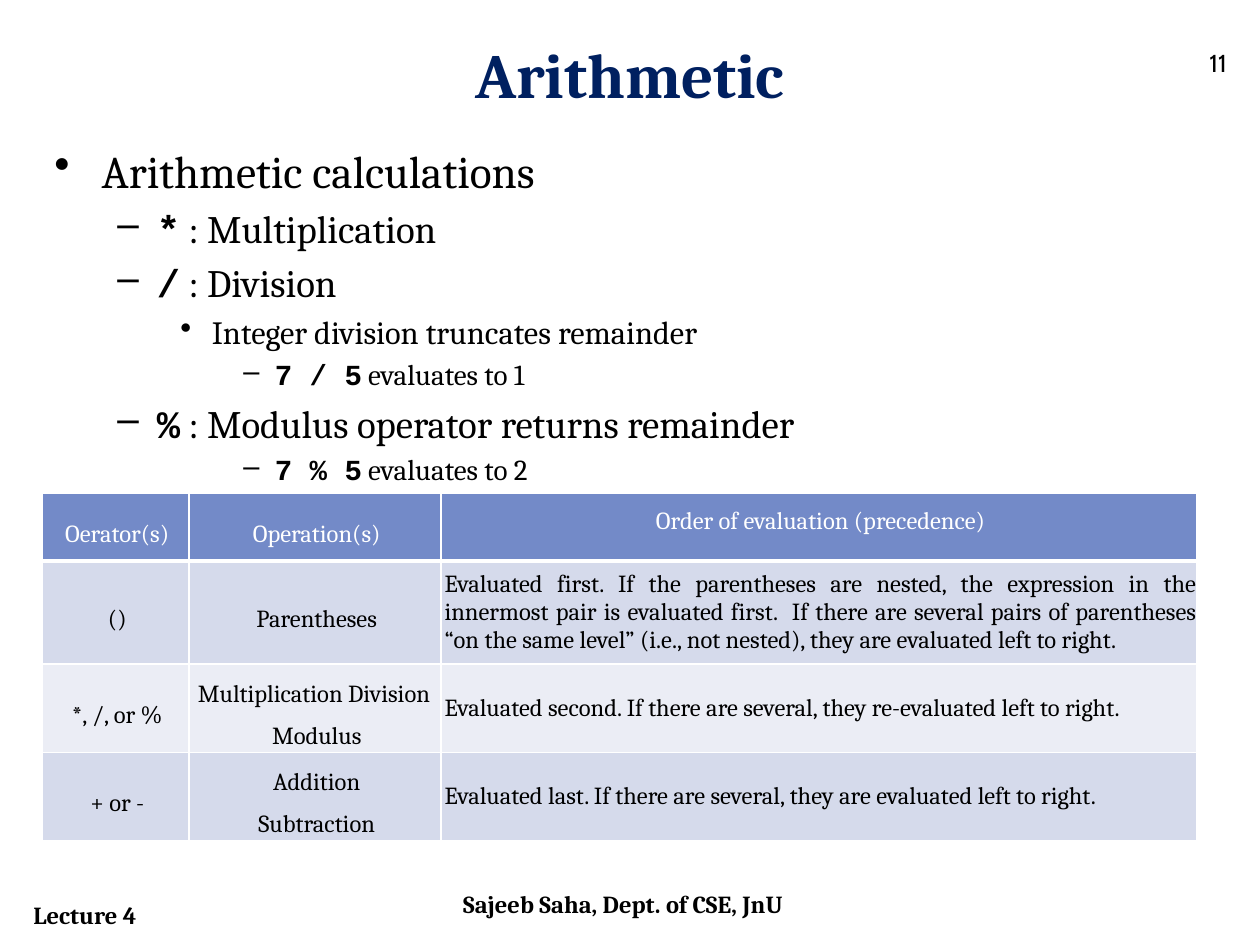
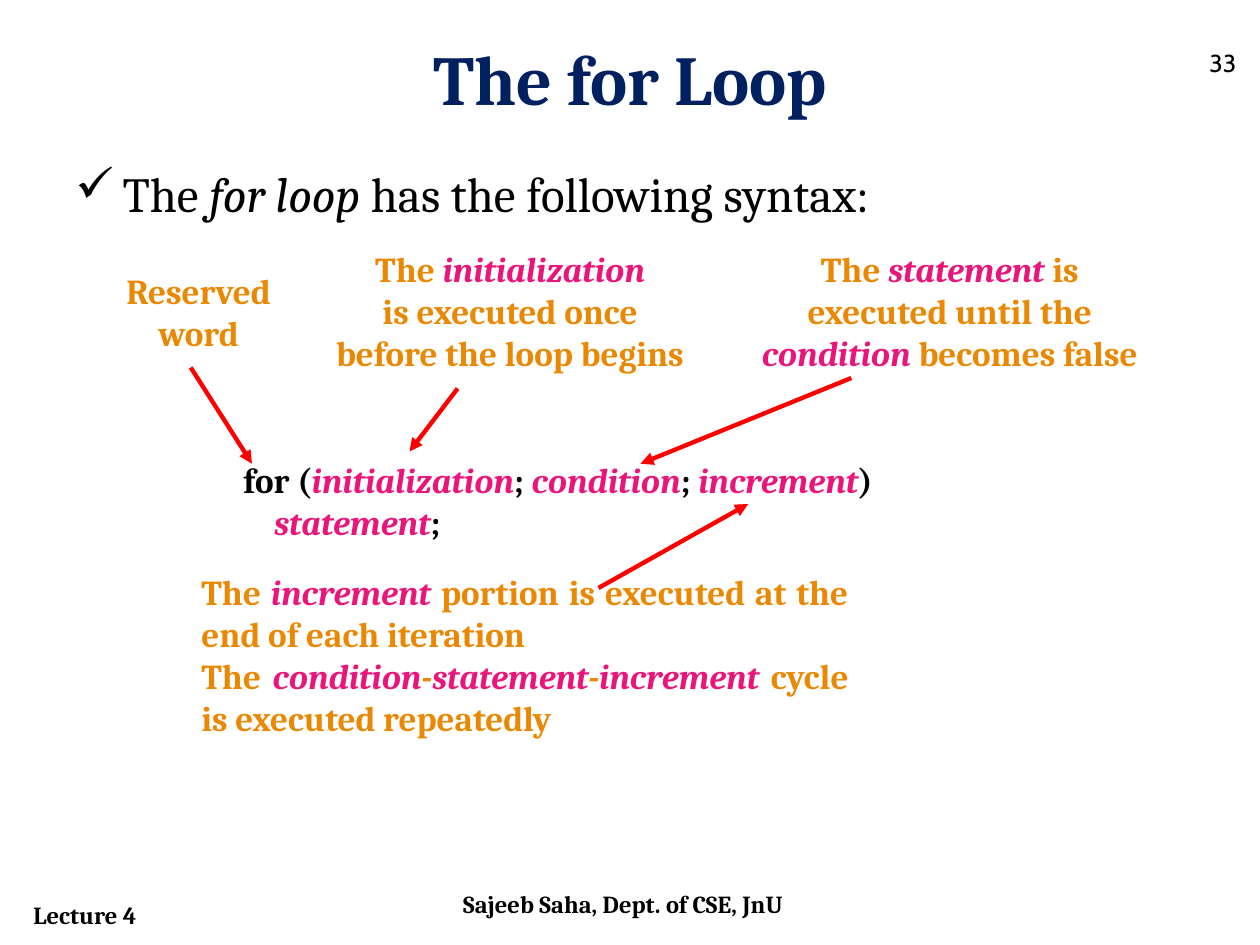
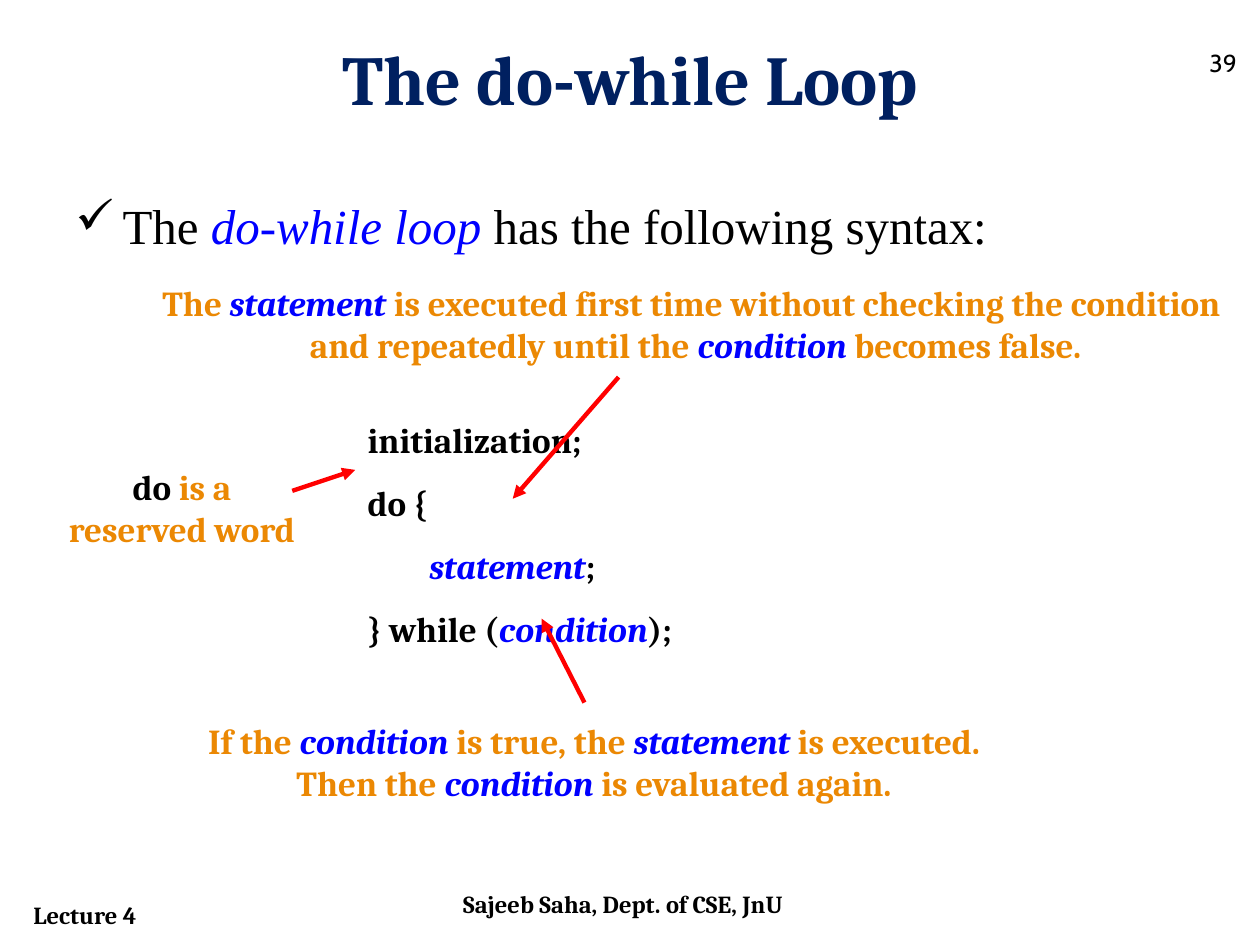
from dataclasses import dataclass, field
from typing import Any, NamedTuple

from lxml.etree import SubElement
from pptx import Presentation
from pptx.dml.color import RGBColor
from pptx.enum.shapes import MSO_CONNECTOR as Connector
from pptx.enum.text import MSO_ANCHOR as Anchor, MSO_AUTO_SIZE as AutoSize, PP_ALIGN as Align
from pptx.oxml.ns import qn
from pptx.util import Pt

COLORS = {
    "black": "000000", "white": "FFFFFF", "navy": "002060", "orange": "EB8803",
    "pink": "EA157A", "blue": "0000FF", "red": "FF0000",
    "head": "738AC8", "odd": "D5DAEB", "even": "EBEDF5",
}

STYLES: dict[str, dict[str, Any]] = {
    "plain": {},
    "mono": {"name": "Courier New", "bold": True},
    "italic": {"italic": True},
    "code": {"color": "black"},
    "pink": {"color": "pink", "italic": True},
    "pink dash": {"color": "orange", "italic": True},
    "blue": {"color": "blue", "italic": True},
}


class Run(NamedTuple):
    text: str
    style: str = "plain"


class Box(NamedTuple):
    left: float
    top: float
    width: float
    height: float


class Arrow(NamedTuple):
    x1: float
    y1: float
    x2: float
    y2: float


class Level(NamedTuple):
    bullet: str
    left: float
    hang: float
    size: float


@dataclass
class Look:
    size: float = 14
    color: str = "black"
    bold: bool = False
    name: str = "Cambria"
    align: Align = Align.LEFT
    spacing: float | None = None


@dataclass
class Note:
    box: Box
    lines: list[list[Run]]
    look: Look
    wrap: bool = False
    arrows: list[Arrow] = field(default_factory=list)


FOOTER = Look(bold=True)
NUMBER = Look(name="Cabin")
CALLOUT = Look(20, "orange", True, align=Align.CENTER)
CYCLE = Look(20, "orange", True, align=Align.JUSTIFY)
CODE = Look(20, "black", True)
SPACED_CODE = Look(20, "black", True, spacing=1.5)

LEVELS = [
    Level("•", 27, 27, 25.9),
    Level("–", 58.5, 22.5, 22.2),
    Level("•", 90, 18, 18.5),
    Level("–", 126, 18, 16.6),
]
CHECK = Level("✓", 27, 27, 28)

ARITHMETIC = [
    (0, [Run("Arithmetic calculations")]),
    (1, [Run("*", "mono"), Run(" : Multiplication")]),
    (1, [Run("/", "mono"), Run(" : Division")]),
    (2, [Run("Integer division truncates remainder")]),
    (3, [Run("7 / 5", "mono"), Run(" evaluates to 1")]),
    (1, [Run("%", "mono"), Run(" : Modulus operator returns remainder")]),
    (3, [Run("7 % 5", "mono"), Run(" evaluates to 2")]),
]

PRECEDENCE = [
    ["Oerator(s)", "Operation(s)", "Order of evaluation (precedence)"],
    ["()", "Parentheses",
     "Evaluated first. If the parentheses are nested, the expression in the innermost pair is "
     "evaluated first.  If there are several pairs of parentheses “on the same level” "
     "(i.e., not nested), they are evaluated left to right."],
    ["*, /, or %", "Multiplication Division \nModulus",
     "Evaluated second. If there are several, they re-evaluated left to right."],
    ["+ or -", "Addition\nSubtraction",
     "Evaluated last. If there are several, they are evaluated left to right."],
]
COLUMN_WIDTHS = [84, 144, 432]
ROW_HEIGHTS = [38.6, 59, 44, 44]

FOR_NOTES = [
    Note(Box(132, 258, 384, 55.5), [
        [Run("for ("), Run("initialization", "pink"), Run("; "), Run("condition", "pink"),
         Run("; "), Run("increment", "pink"), Run(")")],
        [Run("    "), Run("statement", "pink"), Run(";")],
    ], CODE, True),
    Note(Box(63, 150, 101, 55.5), [[Run("Reserved")], [Run("word")]], CALLOUT,
         arrows=[Arrow(109, 210, 144, 265)]),
    Note(Box(181.5, 137.5, 220, 80), [
        [Run("The "), Run("initialization", "pink")],
        [Run("is executed once")],
        [Run("before the loop begins")],
    ], CALLOUT, arrows=[Arrow(261.5, 222, 234, 258)]),
    Note(Box(426, 137.5, 233.5, 80), [
        [Run("The "), Run("statement", "pink"), Run(" is")],
        [Run("executed until the")],
        [Run("condition ", "pink"), Run("becomes false")],
    ], CALLOUT, arrows=[Arrow(486.5, 216, 366, 265)]),
    Note(Box(108, 322.5, 384, 103), [
        [Run("The "), Run("increment", "pink"),
         Run(" portion is executed at the end of each iteration")],
        [Run("The "), Run("condition", "pink"), Run("-", "pink dash"), Run("statement", "pink"),
         Run("-", "pink dash"), Run("increment ", "pink"), Run("cycle is executed repeatedly")],
    ], CYCLE, True, [Arrow(342, 336, 427.5, 288)]),
]

DO_NOTES = [
    Note(Box(203, 223, 190, 152.5), [
        [Run("initialization;")],
        [Run("do {")],
        [Run("        statement", "blue"), Run(";")],
        [Run("} while ("), Run("condition", "blue"), Run(");")],
    ], SPACED_CODE),
    Note(Box(29.5, 262, 149, 55.5), [
        [Run("do ", "code"), Run("is a")],
        [Run("reserved word")],
    ], CALLOUT, arrows=[Arrow(167, 280.5, 203, 268.5)]),
    Note(Box(108, 407.5, 463, 55.5), [
        [Run("If the "), Run("condition", "blue"), Run(" is true, the "),
         Run("statement", "blue"), Run(" is executed.")],
        [Run("Then the "), Run("condition", "blue"), Run(" is evaluated again.")],
    ], CALLOUT, arrows=[Arrow(334, 401.5, 309.5, 353.5)]),
    Note(Box(78, 157, 639, 55.5), [
        [Run("The "), Run("statement", "blue"),
         Run(" is executed first time without checking the condition ")],
        [Run("and repeatedly until the "), Run("condition", "blue"), Run(" becomes false.")],
    ], CALLOUT, arrows=[Arrow(353.5, 215.5, 293, 285)]),
]


def rgb(color: str) -> RGBColor:
    return RGBColor.from_string(COLORS[color])


def fill_paragraph(p: Any, runs: list[Run], look: Look) -> None:
    p.alignment = look.align
    if look.spacing:
        p.line_spacing = look.spacing
    for text, style in runs:
        r = p.add_run()
        r.text = text
        values = {"name": look.name, "size": Pt(look.size), "bold": look.bold,
                  "color": look.color} | STYLES[style]
        r.font.color.rgb = rgb(values.pop("color"))
        for key, value in values.items():
            setattr(r.font, key, value)


def fill_lines(tf: Any, lines: list[list[Run]], look: Look) -> None:
    for i, runs in enumerate(lines):
        fill_paragraph(tf.add_paragraph() if i else tf.paragraphs[0], runs, look)


def add_frame(s: Any, box: Box, wrap: bool = True) -> Any:
    tf = s.shapes.add_textbox(*map(Pt, box)).text_frame
    tf.word_wrap = wrap
    return tf


def add_text(s: Any, box: Box, text: str, look: Look) -> None:
    fill_lines(add_frame(s, box), [[Run(text)]], look)


def add_bullets(s: Any, box: Box, items: list[tuple[Level, list[Run]]],
                name: str = "Cambria") -> None:
    tf = add_frame(s, box)
    for i, (level, runs) in enumerate(items):
        p = tf.add_paragraph() if i else tf.paragraphs[0]
        pPr = p._p.get_or_add_pPr()
        pPr.set("marL", str(Pt(level.left)))
        pPr.set("indent", str(-Pt(level.hang)))
        SubElement(pPr, qn("a:buChar")).set("char", level.bullet)
        if i:
            p.space_before = Pt(round(level.size * 0.2, 1))
        fill_paragraph(p, runs, Look(level.size, name=name))


def add_arrow(s: Any, arrow: Arrow) -> None:
    c = s.shapes.add_connector(Connector.STRAIGHT, *map(Pt, arrow))
    c.line.color.rgb = rgb("red")
    c.line.width = Pt(2.5)
    SubElement(c.line._get_or_add_ln(), qn("a:tailEnd")).set("type", "triangle")
    SubElement(c._element.spPr, qn("a:effectLst"))


def add_note(s: Any, note: Note) -> None:
    tf = add_frame(s, note.box, note.wrap)
    tf.auto_size = AutoSize.SHAPE_TO_FIT_TEXT
    tf.vertical_anchor = Anchor.MIDDLE
    fill_lines(tf, note.lines, note.look)
    for arrow in note.arrows:
        add_arrow(s, arrow)


def set_borders(cell: Any, bottom: float) -> None:
    tcPr = cell._tc.get_or_add_tcPr()
    for i, (side, width) in enumerate({"L": 1, "R": 1, "T": 1, "B": bottom}.items()):
        ln = tcPr.makeelement(qn(f"a:ln{side}"), {"w": str(Pt(width))})
        SubElement(SubElement(ln, qn("a:solidFill")), qn("a:srgbClr")).set("val", COLORS["white"])
        tcPr.insert(i, ln)


def fill_cell(cell: Any, text: str, row: int, column: int) -> None:
    last = column == len(COLUMN_WIDTHS) - 1
    align = Align.CENTER
    if last and row:
        align = Align.JUSTIFY if row == 1 else Align.LEFT
    look = Look(color="black" if row else "white", align=align, spacing=None if last else 1.5)
    if last and not row:
        look.spacing = Pt(10)
    for side in ("left", "right", "top", "bottom"):
        setattr(cell, f"margin_{side}", 0)
    cell.vertical_anchor = Anchor.MIDDLE
    cell.fill.solid()
    cell.fill.fore_color.rgb = rgb("head" if not row else "odd" if row % 2 else "even")
    set_borders(cell, 1 if row else 3)
    tf = cell.text_frame
    fill_lines(tf, [[Run(line)] for line in text.split("\n")], look)
    for p in tf.paragraphs:
        p._p.get_or_add_pPr().set("marL", str(Pt(2)))
    tf.paragraphs[-1].space_after = Pt(0.8)


def add_precedence_table(s: Any) -> None:
    box = Box(24, 282, sum(COLUMN_WIDTHS), sum(ROW_HEIGHTS))
    table = s.shapes.add_table(len(ROW_HEIGHTS), len(COLUMN_WIDTHS), *map(Pt, box)).table
    for column, width in zip(table.columns, COLUMN_WIDTHS):
        column.width = Pt(width)
    for i, (row, height) in enumerate(zip(table.rows, ROW_HEIGHTS)):
        row.height = Pt(height)
        for j, text in enumerate(PRECEDENCE[i]):
            fill_cell(table.cell(i, j), text, i, j)


def add_slide(prs: Any, title: str, number: int, title_size: float = 40) -> Any:
    s = prs.slides.add_slide(prs.slide_layouts[6])
    add_text(s, Box(12, 510.5, 144, 24.5), "Lecture 4", FOOTER)
    add_text(s, Box(257.5, 504.5, 204, 29), "Sajeeb Saha, Dept. of CSE, JnU", FOOTER)
    add_text(s, Box(684, 24, 31, 29), str(number), NUMBER)
    add_text(s, Box(36, 16.5, 648, 49), title,
             Look(title_size, "navy", True, align=Align.CENTER))
    return s


def main() -> None:
    prs = Presentation()
    prs.slide_width, prs.slide_height = Pt(720), Pt(540)

    s = add_slide(prs, "Arithmetic", 11, 36)
    add_bullets(s, Box(24, 78, 660, 198), [(LEVELS[i], runs) for i, runs in ARITHMETIC])
    add_precedence_table(s)

    s = add_slide(prs, "The for Loop", 33)
    add_bullets(s, Box(36, 90, 648, 49.5), [(CHECK, [
        Run("The "), Run("for loop", "italic"), Run(" has the following syntax:")])])
    for note in FOR_NOTES:
        add_note(s, note)

    s = add_slide(prs, "The do-while Loop", 39)
    add_bullets(s, Box(36, 108, 648, 57.5), [(CHECK, [
        Run("The "), Run("do-while loop ", "blue"), Run("has the following syntax:")])],
        "Times New Roman")
    for note in DO_NOTES:
        add_note(s, note)

    prs.save("out.pptx")


if __name__ == "__main__":
    main()
